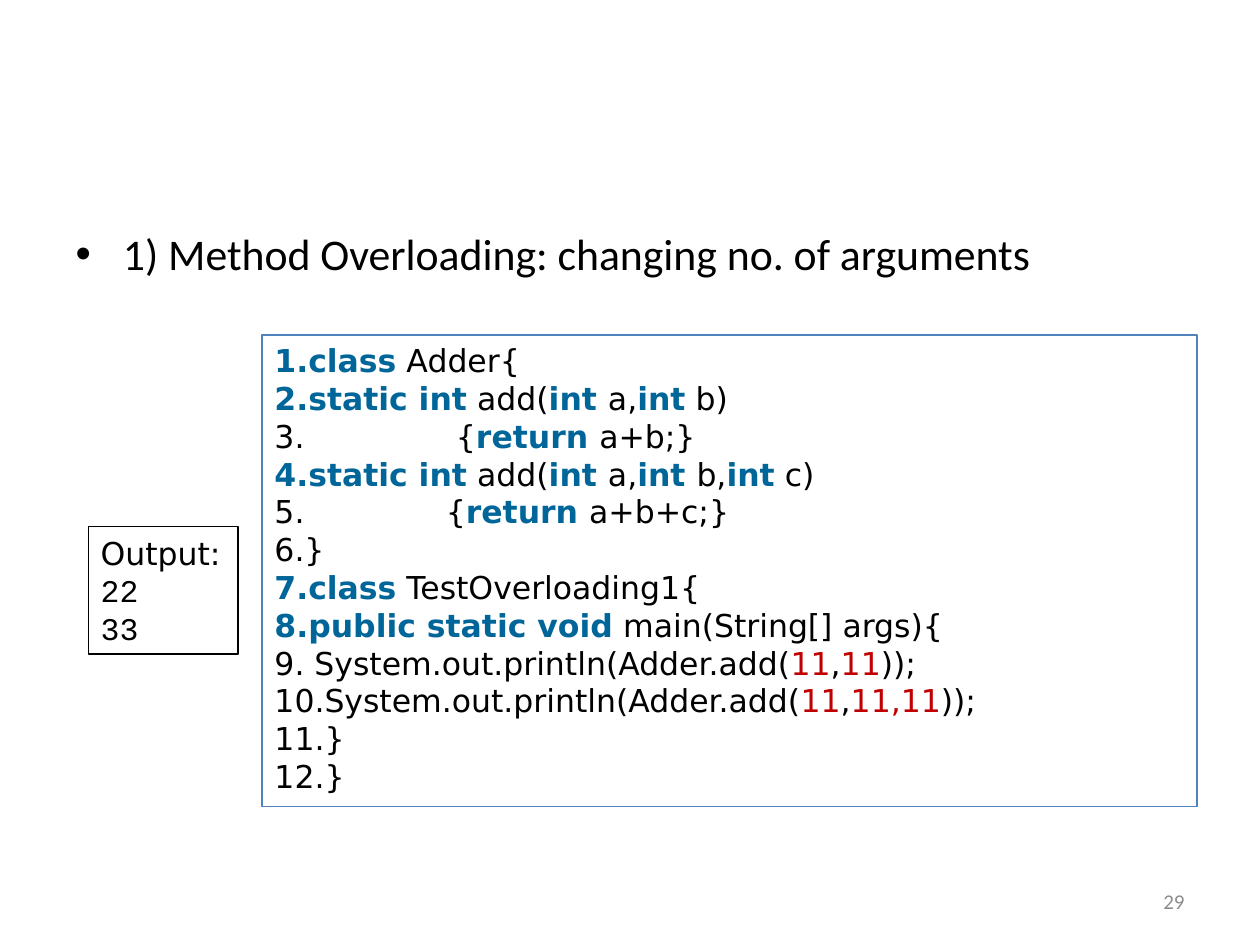
from dataclasses import dataclass
from typing import NamedTuple

from lxml.etree import SubElement
from pptx import Presentation
from pptx.dml.color import RGBColor
from pptx.enum.shapes import MSO_SHAPE
from pptx.enum.text import MSO_ANCHOR as Anchor, MSO_AUTO_SIZE as AutoSize, PP_ALIGN as Align
from pptx.oxml.ns import qn
from pptx.util import Inches, Pt

BLACK = RGBColor(0x00, 0x00, 0x00)
KEYWORD = RGBColor(0x00, 0x66, 0x99)
NUMBER = RGBColor(0xC0, 0x00, 0x00)
GREY = RGBColor(0x8C, 0x8C, 0x8C)
BLUE = RGBColor(0x4F, 0x81, 0xBD)
CODE_FONT = "DejaVu Sans"


class Span(NamedTuple):
    """A piece of text in one format."""
    text: str
    color: RGBColor = BLACK
    bold: bool = False
    font: str = CODE_FONT
    size: float = 18


@dataclass
class Line:
    """One paragraph, with the distance from its number to its text."""
    spans: list[Span]
    indent: float = 0


@dataclass
class Box:
    """An outlined box of text; lengths in inches."""
    left: float
    top: float
    width: float
    height: float
    border: RGBColor
    lines: list[Line]
    numbered: bool = False
    wrap: bool = True
    anchor: Anchor = Anchor.TOP


def kw(text: str) -> Span:
    """Return a keyword span."""
    return Span(text, KEYWORD, True)


def num(text: str) -> Span:
    """Return a number span."""
    return Span(text, NUMBER)


def add_spans(p, spans: list[Span]) -> None:
    """Add the spans to a paragraph as runs."""
    for span in spans:
        r = p.add_run()
        r.text = span.text
        r.font.name, r.font.size = span.font, Pt(span.size)
        r.font.bold = span.bold
        r.font.color.rgb = span.color


def number_paragraph(p, indent: float) -> None:
    """Number a paragraph and hang its number by the indent."""
    pPr = p._p.get_or_add_pPr()
    pPr.set("marL", str(Inches(indent)))
    pPr.set("indent", str(-Inches(indent)))
    SubElement(pPr, qn("a:buFont"), typeface="+mj-lt")
    SubElement(pPr, qn("a:buAutoNum"), type="arabicPeriod")


def add_box(s, box: Box) -> None:
    """Draw a box with its lines of text."""
    sp = s.shapes.add_shape(MSO_SHAPE.RECTANGLE, Inches(box.left), Inches(box.top),
                            Inches(box.width), Inches(box.height))
    sp.shadow.inherit = False
    sp.fill.background()
    sp.line.color.rgb, sp.line.width = box.border, Pt(0.75)
    tf = sp.text_frame
    tf.word_wrap, tf.vertical_anchor = box.wrap, box.anchor
    tf.auto_size = AutoSize.SHAPE_TO_FIT_TEXT
    for i, line in enumerate(box.lines):
        p = tf.add_paragraph() if i else tf.paragraphs[0]
        p.alignment = Align.LEFT
        if box.numbered:
            number_paragraph(p, line.indent)
        add_spans(p, line.spans)


def add_bullet(s, span: Span) -> None:
    """Fill the body placeholder with one bullet."""
    body = s.placeholders[1]
    body.left, body.top = Inches(0.5), Inches(1.75)
    body.width, body.height = Inches(9), Inches(4.95)
    body.text_frame.auto_size = AutoSize.NONE
    add_spans(body.text_frame.paragraphs[0], [span])


def add_page_number(s, span: Span) -> None:
    """Add the page number at the lower right."""
    tf = s.shapes.add_textbox(Inches(7.17), Inches(6.95), Inches(2.33), Inches(0.4)).text_frame
    tf.word_wrap, tf.vertical_anchor = True, Anchor.MIDDLE
    tf.paragraphs[0].alignment = Align.RIGHT
    add_spans(tf.paragraphs[0], [span])


PRINT = "System.out.println(Adder.add("
CODE = [
    Line([kw("class"), Span(" Adder{")]),
    Line([kw("static int"), Span(" add("), kw("int "), Span("a,"), kw("int"), Span(" b)")]),
    Line([Span("{"), kw("return "), Span("a+b;}")], indent=1.44),
    Line([kw("static int"), Span(" add("), kw("int "), Span("a,"), kw("int "), Span("b,"),
          kw("int"), Span(" c)")]),
    Line([Span("{"), kw("return "), Span("a+b+c;}")], indent=1.36),
    Line([Span("}")]),
    Line([kw("class"), Span(" TestOverloading1{")]),
    Line([kw("public static void"), Span(" main(String[] args){")]),
    Line([Span(" " + PRINT), num("11"), Span(","), num("11"), Span("));")]),
    Line([Span(PRINT), num("11"), Span(","), num("11,11"), Span("));")]),
    Line([Span("}")]),
    Line([Span("}")]),
]
OUTPUT = [Line([Span("Output:")])] + [Line([Span(v, font="Courier New")]) for v in ("22", "33")]
BOXES = [
    Box(2.08, 2.66, 7.42, 3.74, BLUE, CODE, numbered=True),
    Box(0.7, 4.18, 1.19, 1.01, BLACK, OUTPUT, wrap=False, anchor=Anchor.MIDDLE),
]

prs = Presentation()
prs.slide_width, prs.slide_height = Inches(10), Inches(7.5)
s = prs.slides.add_slide(prs.slide_layouts[1])
title = s.shapes.title.element
title.getparent().remove(title)
add_bullet(s, Span("1) Method Overloading: changing no. of arguments", font="Calibri", size=25))
add_page_number(s, Span("29", GREY, font="Calibri", size=12))
for box in BOXES:
    add_box(s, box)
prs.save("out.pptx")
